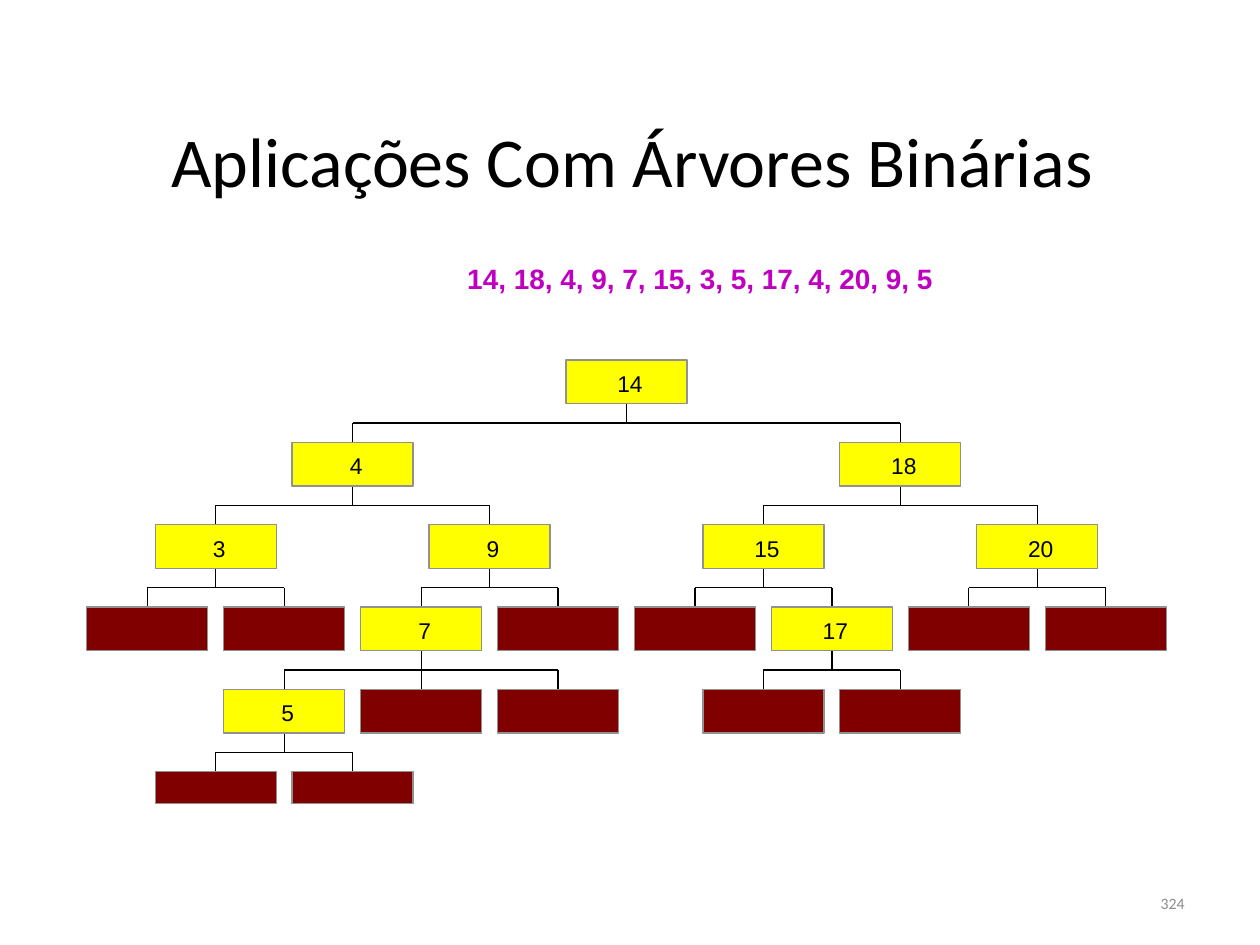
"""Builds a slide that shows a binary search tree with its empty leaves."""
from lxml.etree import SubElement
from pptx import Presentation
from pptx.dml.color import RGBColor
from pptx.enum.shapes import MSO_CONNECTOR as Link, MSO_SHAPE as Preset
from pptx.enum.text import MSO_ANCHOR as Anchor, PP_ALIGN as Align
from pptx.oxml.ns import qn
from pptx.util import Cm, Pt

COLORS = {
    "ink": "000000",
    "sequence": "C000C0",
    "number": "8C8C8C",
    "key": "FFFF00",
    "empty": "800000",
    "border": "919191",
}
FIRST_COLUMN, COLUMN_STEP = 2.97, 1.38
FIRST_ROW, ROW_STEP = 7.26, 1.66
NODE_WIDTH, NODE_HEIGHT, LAST_HEIGHT = 2.44, 0.88, 0.64
LAST_DEPTH = 5


def leaf(column):
    return "", column, []


TREE = ("14", 7, [
    ("4", 3, [
        ("3", 1, [leaf(0), leaf(2)]),
        ("9", 5, [
            ("7", 4, [("5", 2, [leaf(1), leaf(3)]), leaf(4), leaf(6)]),
            leaf(6),
        ]),
    ]),
    ("18", 11, [
        ("15", 9, [leaf(8), ("17", 10, [leaf(9), leaf(11)])]),
        ("20", 13, [leaf(12), leaf(14)]),
    ]),
])


class TreeSlide:
    """Holds the style and the current slide."""

    def __init__(self, slide):
        self.slide = slide
        self.shapes = slide.shapes

    def color(self, name):
        return RGBColor.from_string(COLORS[name])

    def style_text(self, frame, text, font, size, color, align=Align.LEFT, bold=False):
        frame.text = text
        paragraph = frame.paragraphs[0]
        paragraph.alignment = align
        for run in paragraph.runs:
            run.font.name = font
            run.font.size = Pt(size)
            run.font.bold = bold
            run.font.color.rgb = self.color(color)
        return paragraph

    def title(self, text, left, top, width, height):
        title = self.shapes.title
        title.left, title.top = Cm(left), Cm(top)
        title.width, title.height = Cm(width), Cm(height)
        title.text_frame.vertical_anchor = Anchor.MIDDLE
        heading = self.style_text(title.text_frame, text, "Calibri", 40, "ink")
        heading.line_spacing = 0.9

    def label(self, text, left, top, width, height, *style, inset=True, **options):
        frame = self.shapes.add_textbox(
            Cm(left), Cm(top), Cm(width), Cm(height)).text_frame
        frame.word_wrap = True
        if inset:
            frame.vertical_anchor = Anchor.MIDDLE
        else:
            frame.margin_left = frame.margin_right = 0
            frame.margin_top = frame.margin_bottom = 0
        self.style_text(frame, text, *style, **options)

    def line(self, x1, y1, x2, y2):
        edge = self.shapes.add_connector(Link.STRAIGHT, Cm(x1), Cm(y1), Cm(x2), Cm(y2))
        edge.line.color.rgb = self.color("ink")
        edge.line.width = Pt(0.75)
        SubElement(edge._element.spPr, qn("a:effectLst"))

    def box(self, key, center, top, height):
        box = self.shapes.add_shape(
            Preset.RECTANGLE, Cm(center - NODE_WIDTH / 2), Cm(top),
            Cm(NODE_WIDTH), Cm(height))
        box.shadow.inherit = False
        box.fill.solid()
        box.fill.fore_color.rgb = self.color("key" if key else "empty")
        box.line.color.rgb = self.color("border")
        box.line.width = Pt(0.75)
        if key:
            frame = box.text_frame
            frame.margin_left, frame.margin_top = Cm(0.14), Cm(0.06)
            frame.margin_right = frame.margin_bottom = 0
            frame.vertical_anchor = Anchor.MIDDLE
            self.style_text(frame, key, "Arial", 13, "ink", Align.CENTER)

    def tree(self, node, depth=0):
        key, column, children = node
        center = FIRST_COLUMN + column * COLUMN_STEP
        top = FIRST_ROW + depth * ROW_STEP
        bottom = top + NODE_HEIGHT
        next_top = top + ROW_STEP
        branch = (bottom + next_top) / 2
        if children:
            self.line(center, bottom, center, branch)
        for child in children:
            child_center = FIRST_COLUMN + child[1] * COLUMN_STEP
            if child_center != center:
                self.line(center, branch, child_center, branch)
            self.line(child_center, branch, child_center, next_top)
            self.tree(child, depth + 1)
        self.box(key, center, top, LAST_HEIGHT if depth == LAST_DEPTH else NODE_HEIGHT)


def main():
    deck = Presentation()
    deck.slide_width, deck.slide_height = Cm(25.4), Cm(19.05)
    page = TreeSlide(deck.slides.add_slide(deck.slide_layouts[5]))
    page.title("Aplicações Com Árvores Binárias", 3.2, 1.73, 21.64, 3.18)
    page.label("324", 18.85, 17.58, 5.28, 1.27, "Calibri", 9, "number", Align.RIGHT)
    page.label("14, 18, 4, 9, 7, 15, 3, 5, 17, 4, 20, 9, 5", 9.42, 5.28, 10.06, 0.69,
               "Arial", 16, "sequence", inset=False, bold=True)
    page.tree(TREE)
    deck.save("out.pptx")


if __name__ == "__main__":
    main()
